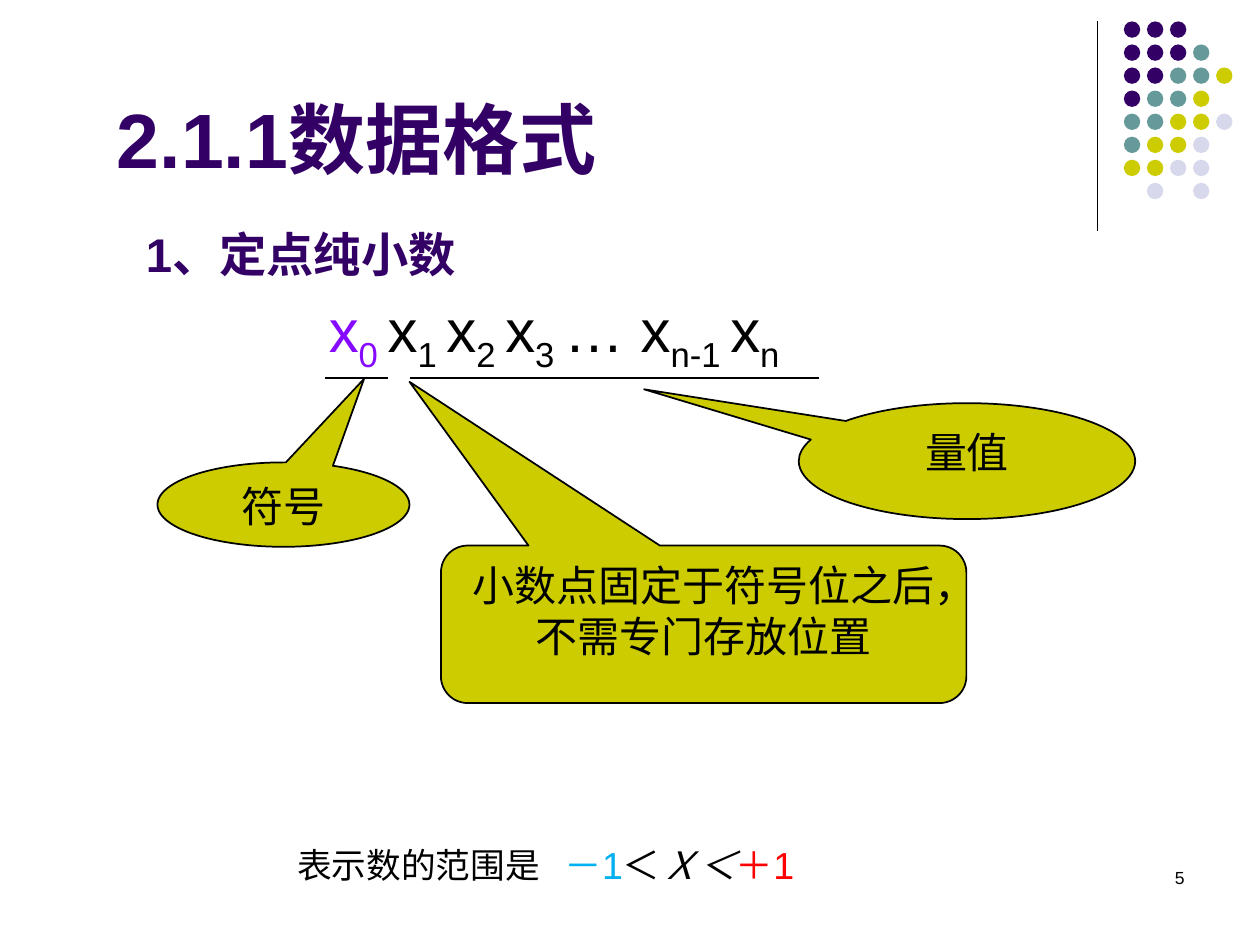
"""Build the slide on the fixed-point pure fraction format."""
from lxml.etree import SubElement
from pptx import Presentation
from pptx.dml.color import RGBColor
from pptx.enum.shapes import MSO_CONNECTOR, MSO_SHAPE
from pptx.enum.text import MSO_ANCHOR, PP_ALIGN
from pptx.oxml.ns import qn
from pptx.util import Inches, Pt

THEME = {
    "ink": "000000", "purple": "330066", "teal": "669999", "olive": "CCCC00",
    "mist": "D8D8EC", "violet": "850AFF", "sky": "00B0F0", "red": "FF0000",
    "heading": {"name": "Arial", "size": Pt(44), "bold": True},
    "subheading": {"name": "Arial", "size": Pt(27), "bold": True},
    "formula": {"name": "Arial", "size": Pt(34.2)},
    "range": {"name": "Arial", "size": Pt(37)},
    "range_lead": {"name": "Arial", "size": Pt(34.2)},
    "range_symbol": {"name": "Arial", "size": Pt(37), "italic": True},
    "callout": {"name": "Times New Roman", "size": Pt(24)},
    "number": {"name": "Arial", "size": Pt(10)},
}
SUBSCRIPT = "-25000"

DOT_ROWS = ["PPP", "PPPT", "PPTTO", "PTTO", "TTOOM", "TOOM", "OOMM", " M M"]
DOT_COLOURS = {"P": "purple", "T": "teal", "O": "olive", "M": "mist"}
DOT_LEFT, DOT_TOP, DOT_PITCH, DOT_SIZE = 8.92, 0.17, 0.183, 0.13

RULES = [
    ((8.71, 0.17), (8.71, 1.83), 0.75),
    ((2.58, 3), (3.08, 3), 1),
    ((3.25, 3), (6.5, 3), 1),
]

CALLOUTS = [
    ("符号", MSO_SHAPE.OVAL_CALLOUT, (1.25, 3.67, 2, 0.67), (0.32, -1.49)),
    ("量值", MSO_SHAPE.OVAL_CALLOUT, (6.34, 3.2, 2.67, 0.92), (-0.96, -0.62)),
    ("小数点固定于符号位之后，不需专门存放位置", MSO_SHAPE.ROUNDED_RECTANGULAR_CALLOUT,
     (3.5, 4.33, 4.17, 1.25), (-0.56, -1.54, 0.17)),
]

TERMS = [("x", "0 "), ("x", "1 "), ("x", "2 "), ("x", "3 "), ("… x", "n-1 "), ("x", "n")]
RANGE = [
    ("表示数的范围是\t", "range_lead", "ink"),
    ("－1", "range", "sky"),
    ("＜", "range", "ink"),
    ("Ｘ＜", "range_symbol", "ink"),
    ("＋1", "range", "red"),
]
RANGE_TAB = 2.12
INSETS = (0.1, 0.05)


def colour(name):
    return RGBColor.from_string(THEME[name])


def formula_spans():
    spans = []
    for index, (base, subscript) in enumerate(TERMS):
        tint = "ink" if index else "violet"
        spans += [(base, "formula", tint, None), (subscript, "formula", tint, SUBSCRIPT)]
    return spans


def write(shape, spans, align=PP_ALIGN.LEFT, anchor=MSO_ANCHOR.TOP, insets=INSETS, wrap=True):
    frame = shape.text_frame
    side, end = map(Inches, insets)
    layout = {"word_wrap": wrap, "vertical_anchor": anchor, "margin_left": side,
              "margin_right": side, "margin_top": end, "margin_bottom": end}
    for key, value in layout.items():
        setattr(frame, key, value)
    para = frame.paragraphs[0]
    para.alignment = align
    for text, style, tint, baseline in spans:
        span = para.add_run()
        span.text = text
        for key, value in THEME[style].items():
            setattr(span.font, key, value)
        span.font.color.rgb = colour(tint)
        if baseline:
            span._r.get_or_add_rPr().set("baseline", baseline)
    return para


def add_text(page, place, spans, **options):
    box = page.shapes.add_textbox(*map(Inches, place))
    return write(box, spans, **options)


def add_rule(page, start, end, width):
    rule = page.shapes.add_connector(MSO_CONNECTOR.STRAIGHT, *map(Inches, start + end))
    rule.line.color.rgb = colour("ink")
    rule.line.width = Pt(width)
    SubElement(rule._element.spPr, qn("a:effectLst"))


def add_filled(shapes, kind, place, fill):
    shape = shapes.add_shape(kind, *map(Inches, place))
    shape.shadow.inherit = False
    shape.fill.solid()
    shape.fill.fore_color.rgb = colour(fill)
    return shape


def add_dots(page):
    group = page.shapes.add_group_shape()
    for row, cells in enumerate(DOT_ROWS):
        for column, cell in enumerate(cells):
            if cell in DOT_COLOURS:
                place = (DOT_LEFT + column * DOT_PITCH, DOT_TOP + row * DOT_PITCH,
                         DOT_SIZE, DOT_SIZE)
                dot = add_filled(group.shapes, MSO_SHAPE.OVAL, place, DOT_COLOURS[cell])
                dot.line.fill.background()


def add_callout(page, text, kind, place, adjustments):
    callout = add_filled(page.shapes, kind, place, "olive")
    callout.line.color.rgb = colour("ink")
    callout.line.width = Pt(1)
    for index, value in enumerate(adjustments):
        callout.adjustments[index] = value
    write(callout, [(text, "callout", "ink", None)], align=PP_ALIGN.CENTER)


def main():
    deck = Presentation()
    deck.slide_width, deck.slide_height = Inches(10), Inches(7.5)
    page = deck.slides.add_slide(deck.slide_layouts[6])
    add_dots(page)
    for rule in RULES:
        add_rule(page, *rule)
    add_text(page, (7.17, 6.83, 2.33, 0.5), [("5", "number", "ink", None)],
             align=PP_ALIGN.RIGHT)
    add_text(page, (1.06, 1.62, 3.86, 0.67), [("1、定点纯小数", "subheading", "purple", None)],
             anchor=MSO_ANCHOR.BOTTOM)
    add_text(page, (2.61, 2.32, 4.2, 0.65), formula_spans(), insets=(0, 0), wrap=False)
    para = add_text(page, (2.36, 6.34, 5, 0.8), [(*span, SUBSCRIPT) for span in RANGE],
                    insets=(0, 0), wrap=False)
    tabs = SubElement(para._p.get_or_add_pPr(), qn("a:tabLst"))
    SubElement(tabs, qn("a:tab"), pos=str(Inches(RANGE_TAB)), algn="l")
    for callout in CALLOUTS:
        add_callout(page, *callout)
    add_text(page, (0.83, 0.68, 5.69, 0.84), [("2.1.1数据格式", "heading", "purple", None)])
    deck.save("out.pptx")


if __name__ == "__main__":
    main()
